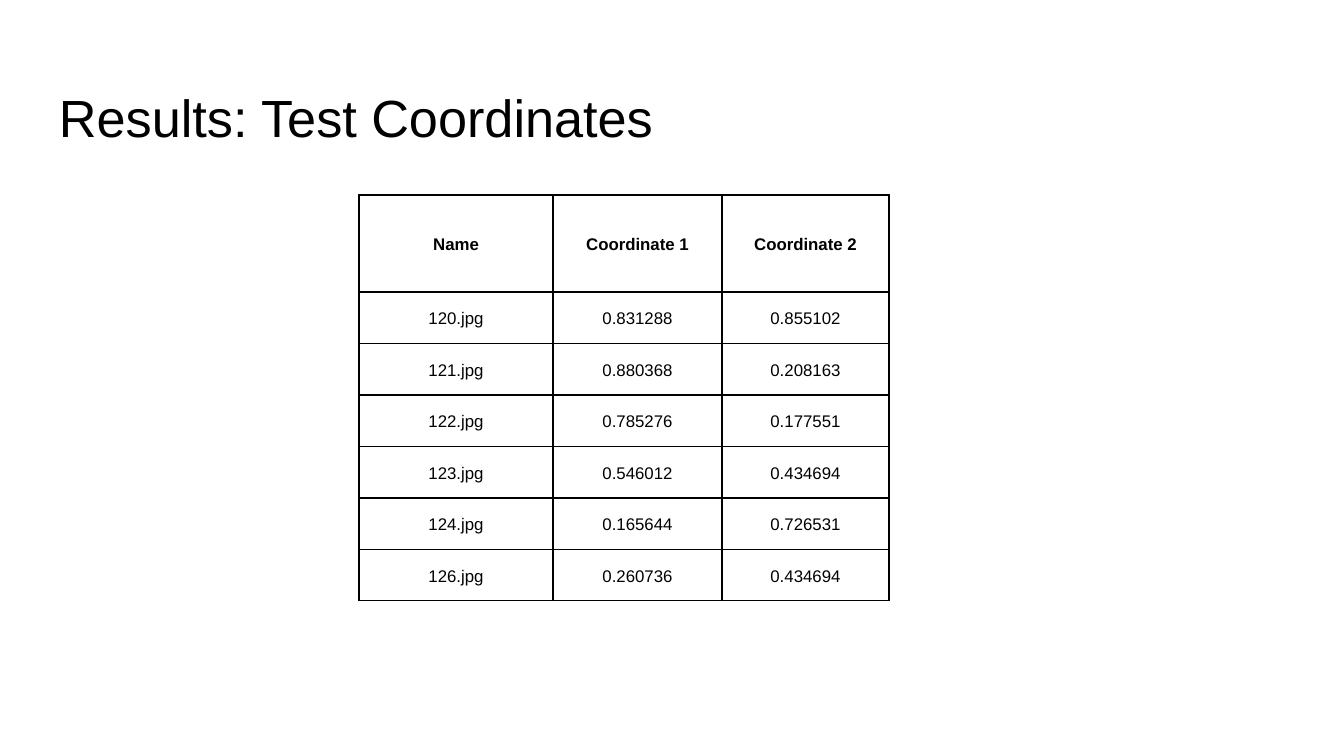
import pptx
import pptx.util
import pptx.dml.color
import pptx.enum.text
import pptx.oxml

BLACK = pptx.dml.color.RGBColor(0, 0, 0)
WHITE = pptx.dml.color.RGBColor(255, 255, 255)
FONT = "Arial"
WIDE, HIGH = 1344, 756
SCALE = 9144000 / WIDE
COLS = [194, 169, 167]
HEAD, BODY = 97, 309
DATA = [
    ("Name", "Coordinate 1", "Coordinate 2"),
    ("120.jpg", "0.831288", "0.855102"),
    ("121.jpg", "0.880368", "0.208163"),
    ("122.jpg", "0.785276", "0.177551"),
    ("123.jpg", "0.546012", "0.434694"),
    ("124.jpg", "0.165644", "0.726531"),
    ("126.jpg", "0.260736", "0.434694"),
]


def px(n):
    return pptx.util.Emu(round(n * SCALE))


def add_run(para, text, size, bold=False):
    run = para.add_run()
    run.text = text
    font = run.font
    font.name = FONT
    font.size = pptx.util.Pt(size)
    font.bold = bold
    font.color.rgb = BLACK


def add_title(slide, text):
    title = slide.shapes.title
    title.left, title.top = px(46), px(66)
    title.width, title.height = px(1252), px(85)
    frame = title.text_frame
    frame.auto_size = pptx.enum.text.MSO_AUTO_SIZE.NONE
    frame.vertical_anchor = pptx.enum.text.MSO_ANCHOR.TOP
    frame.margin_left = frame.margin_right = px(13)
    frame.margin_top, frame.margin_bottom = px(19), px(5)
    para = frame.paragraphs[0]
    para.alignment = pptx.enum.text.PP_ALIGN.LEFT
    add_run(para, text, 28)


def set_edge(cell):
    props = cell._tc.get_or_add_tcPr()
    for spot, side in enumerate(("lnL", "lnR", "lnT", "lnB")):
        props.insert(spot, pptx.oxml.parse_xml(
            f'<a:{side} xmlns:a="http://schemas.openxmlformats.org/drawingml/2006/main"'
            f' w="{pptx.util.Pt(0.75)}"><a:solidFill><a:srgbClr val="{BLACK}"/>'
            f'</a:solidFill></a:{side}>'))


def fill_cell(cell, text, bold, inset):
    cell.fill.solid()
    cell.fill.fore_color.rgb = WHITE
    cell.vertical_anchor = pptx.enum.text.MSO_ANCHOR.MIDDLE
    cell.margin_left = cell.margin_right = px(inset)
    cell.margin_top = cell.margin_bottom = px(inset)
    para = cell.text_frame.paragraphs[0]
    para.alignment = pptx.enum.text.PP_ALIGN.CENTER
    para.line_spacing = 1.15
    para.space_before = pptx.util.Pt(9)
    add_run(para, text, 9, bold)
    set_edge(cell)


def add_grid(slide, data):
    frame = slide.shapes.add_table(
        len(data), len(COLS), px(359), px(195), px(sum(COLS)), px(HEAD + BODY))
    table = frame.table
    table.first_row = table.horz_banding = False
    for col, width in zip(table.columns, COLS):
        col.width = px(width)
    for r, line in enumerate(data):
        table.rows[r].height = px(BODY / (len(data) - 1) if r else HEAD)
        for c, text in enumerate(line):
            last = r == 0 and c == len(COLS) - 1
            fill_cell(table.cell(r, c), text, r == 0, 13 if last else 8)


def main():
    deck = pptx.Presentation()
    deck.slide_width, deck.slide_height = px(WIDE), px(HIGH)
    slide = deck.slides.add_slide(deck.slide_layouts[5])
    add_title(slide, "Results: Test Coordinates")
    add_grid(slide, DATA)
    deck.save("out.pptx")


if __name__ == "__main__":
    main()
